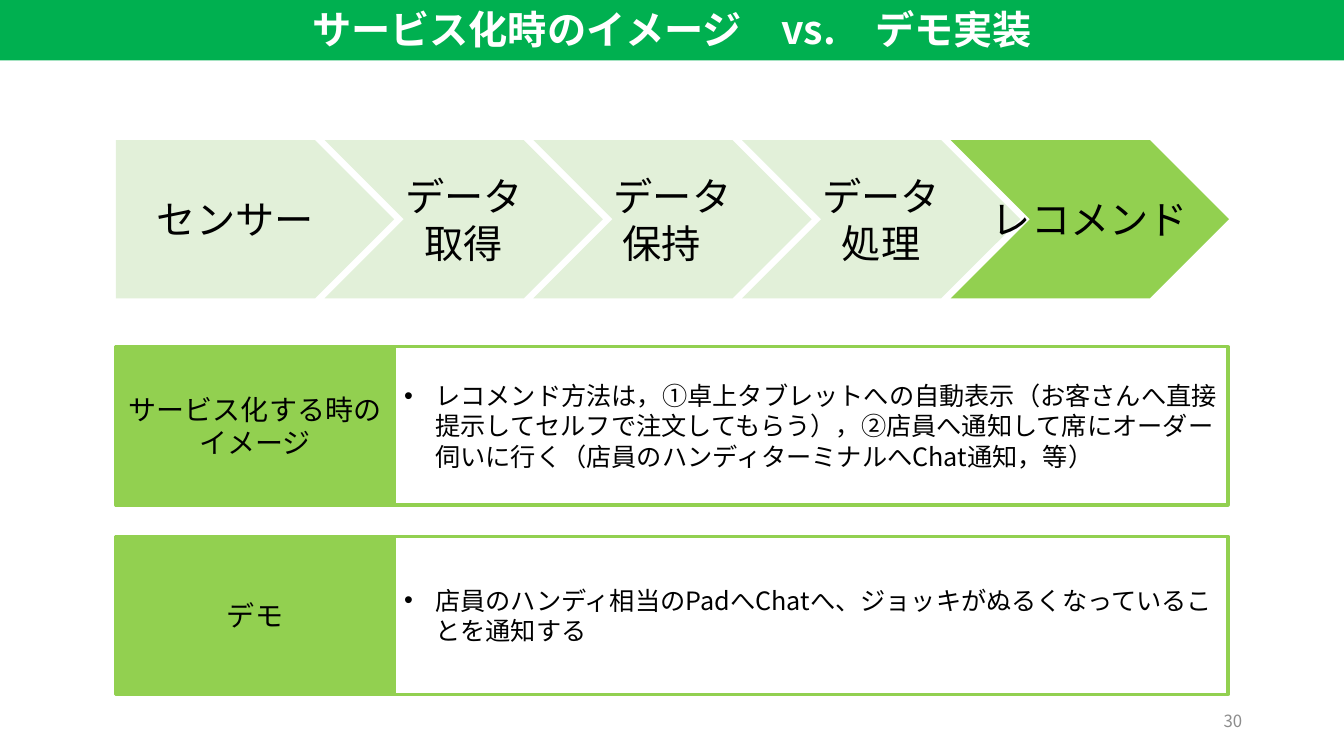
from lxml import etree
from pptx import Presentation
from pptx.dml.color import RGBColor
from pptx.enum.shapes import MSO_SHAPE
from pptx.enum.text import MSO_ANCHOR, MSO_AUTO_SIZE, PP_ALIGN
from pptx.oxml.ns import qn
from pptx.util import Pt

RECT, PLATE, CHEVRON = MSO_SHAPE.RECTANGLE, MSO_SHAPE.PENTAGON, MSO_SHAPE.CHEVRON
MIDDLE, FIXED = MSO_ANCHOR.MIDDLE, MSO_AUTO_SIZE.NONE
LEFT, CENTER, RIGHT = PP_ALIGN.LEFT, PP_ALIGN.CENTER, PP_ALIGN.RIGHT
SCALE = 9144
FONT = "Noto Sans CJK JP"
COLORS = {"bar": "00B050", "lime": "92D050", "pale": "E2F0D9",
          "ink": "000000", "white": "FFFFFF", "gray": "8C8C8C"}

EDGE, WIDE, HIGH = 115, 276, 157
STEP_TOP, STEP = 139, 207
ROW_TOP, ROW = 344, 188
BODY = 827
STEPS = [["センサー"], ["データ", "取得"], ["データ", "保持\t"],
         ["データ", "処理"], ["レコメンド"]]
ROWS = [
    (["サービス化する時の", "イメージ"],
     "レコメンド方法は，①卓上タブレットへの自動表示（お客さんへ直接提示してセルフで注文してもらう），"
     "②店員へ通知して席にオーダー伺いに行く（店員のハンディターミナルへChat通知，等）"),
    (["デモ"],
     "店員のハンディ相当のPadへChatへ、ジョッキがぬるくなっていることを通知する"),
]


def px(*values):
    return [value * SCALE for value in values]


def color(name):
    return RGBColor.from_string(COLORS[name])


def write(shape, lines, size, ink="ink", align=CENTER, bold=False,
          bullet=False, wrap=True):
    frame = shape.text_frame
    frame.auto_size = FIXED
    frame.word_wrap = wrap
    frame.vertical_anchor = MIDDLE
    for index, line in enumerate(lines):
        para = frame.add_paragraph() if index else frame.paragraphs[0]
        para.alignment = align
        if bullet:
            props = para._p.get_or_add_pPr()
            props.set("marL", str(31 * SCALE))
            props.set("indent", str(-31 * SCALE))
            etree.SubElement(props, qn("a:buFont")).set("typeface", "Arial")
            etree.SubElement(props, qn("a:buChar")).set("char", "•")
        run = para.add_run()
        run.text = line
        font = run.font
        font.name, font.size, font.bold = FONT, Pt(size), bold
        font.color.rgb = color(ink)
        east = etree.SubElement(run._r.get_or_add_rPr(), qn("a:ea"))
        east.set("typeface", FONT)


def block(slide, kind, box, fill=None, line=None):
    shape = slide.shapes.add_shape(kind, *px(*box))
    shape.shadow.inherit = False
    if fill:
        shape.fill.solid()
        shape.fill.fore_color.rgb = color(fill)
    else:
        shape.fill.background()
    if line:
        shape.line.color.rgb = color(line)
        shape.line.width = Pt(2.25)
    else:
        shape.line.fill.background()
    return shape


def head(slide, text):
    title = slide.shapes.title
    title.left, title.top, title.width, title.height = px(-3, -3, 1339, 63)
    title.fill.solid()
    title.fill.fore_color.rgb = color("bar")
    write(title, [text], 28, "white", bold=True)


def flow(slide):
    for index, lines in enumerate(STEPS):
        kind = CHEVRON if index else PLATE
        fill = "lime" if index == len(STEPS) - 1 else "pale"
        box = (EDGE + index * STEP, STEP_TOP, WIDE, HIGH)
        write(block(slide, kind, box, fill), lines, 28, wrap=index == 0)


def rows(slide):
    for index, (label, body) in enumerate(ROWS):
        top = ROW_TOP + index * ROW
        write(block(slide, RECT, (EDGE, top, WIDE, HIGH), "lime", "lime"), label, 20)
        panel = block(slide, RECT, (EDGE + WIDE, top, BODY, HIGH), line="lime")
        write(panel, [body], 18, align=LEFT, bullet=True)


def number(slide, text):
    box = slide.shapes.add_textbox(*px(942, 695, 300, 40))
    write(box, [text], 12, "gray", RIGHT)


def main():
    deck = Presentation()
    deck.slide_width, deck.slide_height = px(1333, 750)
    slide = deck.slides.add_slide(deck.slide_layouts[5])
    head(slide, "サービス化時のイメージ\u3000vs.\u3000デモ実装".replace("\u3000", "　"))
    flow(slide)
    rows(slide)
    number(slide, "30")
    deck.save("out.pptx")


if __name__ == "__main__":
    main()
